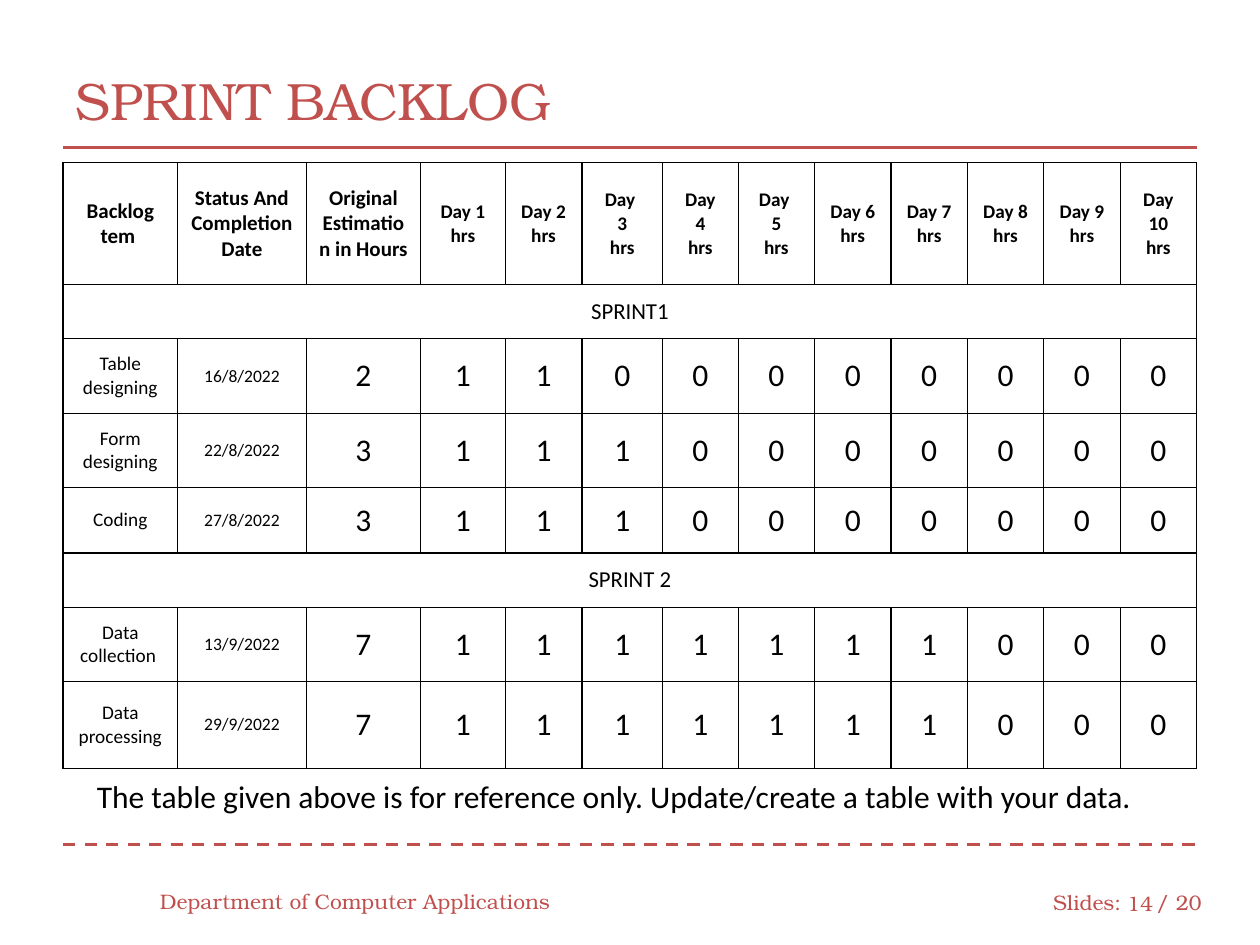
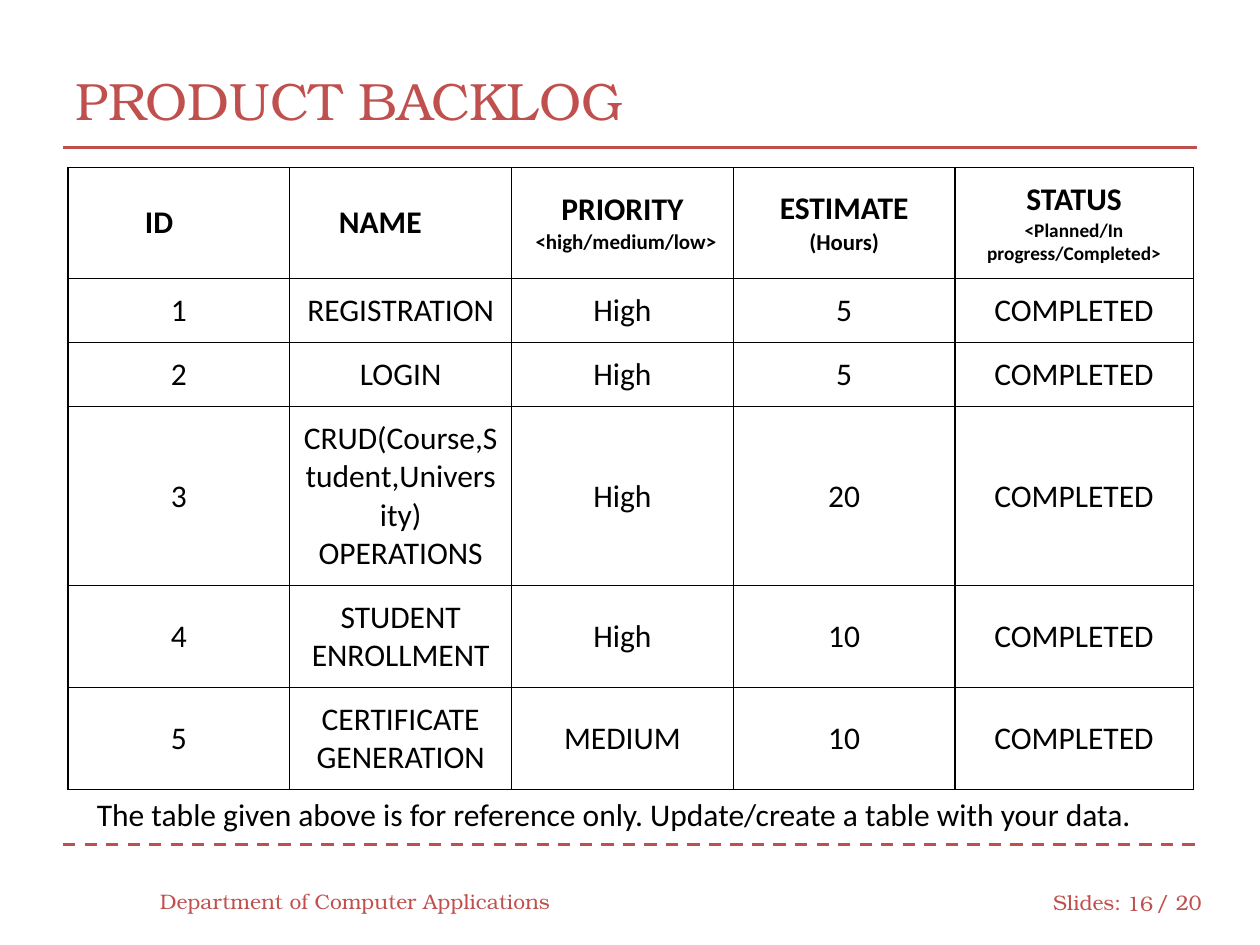
import pptx
import pptx.util
import pptx.dml.color
import pptx.enum.dml
import pptx.enum.shapes
import pptx.enum.text
from dataclasses import dataclass
from lxml import etree

Inches, Pt = pptx.util.Inches, pptx.util.Pt
RGB = pptx.dml.color.RGBColor.from_string
ALIGN = pptx.enum.text.PP_ALIGN
MID = pptx.enum.text.MSO_ANCHOR.MIDDLE
TOP = pptx.enum.text.MSO_ANCHOR.TOP


@dataclass(frozen=True)
class Theme:
    red: str = "C0504D"
    ink: str = "000000"
    paper: str = "FFFFFF"
    serif: str = "TeX Gyre Bonum"
    sans: str = "Calibri"
    title: int = 30
    body: int = 18
    group: int = 13
    head: int = 12
    foot: int = 12
    small: int = 11
    date: int = 10
    rule: float = 1.75
    grid: float = 0.75
    pad: float = 0.1


@dataclass
class Line:
    text: str
    size: int
    bold: bool = False
    indent: float = None  # None means centred


T = Theme()

# Content
DEPT = "Department of Computer Applications"
TOTAL = "/ 20"
NOTE = ("The table given above is for reference only. "
        "Update/create a table with your data.")

FIELDS = ["Backlog tem ", "Status And Completion Date",
          "Original Estimation in Hours "]
DAYS = ["Day 1\nhrs", "Day 2\nhrs", "Day \n3\nhrs", "Day\n4\nhrs",
        "Day \n5\nhrs", "Day 6\nhrs", "Day 7\nhrs", "Day 8\nhrs",
        "Day 9\nhrs", "Day 10\nhrs"]
SPRINTS = [
    ("SPRINT1", [("Table designing", "16/8/2022", 2),
                 ("Form designing", "22/8/2022", 3),
                 ("Coding", "27/8/2022", 3)]),
    ("SPRINT 2", [("Data collection ", "13/9/2022", 7),
                  ("Data processing", "29/9/2022", 7)]),
]

HEADS = [
    [Line("ID", T.body, True, 0.51)],
    [Line("NAME", T.body, True, 0.29)],
    [Line("PRIORITY", T.body, True),
     Line("<high/medium/low>", T.head, True, 0.09)],
    [Line("ESTIMATE", T.body, True), Line("(Hours)", T.group, True)],
    [Line("STATUS", T.body, True),
     Line("<Planned/In progress/Completed>", T.small, True)],
]
ITEMS = [
    ("REGISTRATION", "High", 5),
    ("LOGIN", "High", 5),
    ("CRUD(Course,Student,University)\nOPERATIONS", "High", 20),
    ("STUDENT ENROLLMENT", "High", 10),
    ("CERTIFICATE GENERATION", "MEDIUM", 10),
]
STATE = "COMPLETED"

# Table layout
SPRINT_WIDE = 9
SPRINT_COLS = [0.91, 1.02, 0.91, 0.67, 0.61, 0.64, 0.6]
LAST = len(FIELDS + DAYS) - len(SPRINT_COLS)
SPRINT_COLS += [(SPRINT_WIDE - sum(SPRINT_COLS)) / LAST] * LAST
SPRINT_ROWS = [0.97, 0.43, 0.59, 0.59, 0.52, 0.43, 0.59, 0.69]
ITEM_COLS = [1.76] * 4 + [1.89]
ITEM_ROWS = [0.88, 0.51, 0.51, 1.42, 0.81, 0.81]


# Text helpers
def add_run(para, text, size, face, color, bold=False):
    run = para.add_run()
    run.text = text
    font = run.font
    font.size, font.name, font.bold = Pt(size), face, bold
    font.color.rgb = RGB(color)


def add_text(slide, box, text, size, face, color, align=ALIGN.LEFT, anchor=MID):
    frame = slide.shapes.add_textbox(*map(Inches, box)).text_frame
    frame.word_wrap = True
    frame.vertical_anchor = anchor
    para = frame.paragraphs[0]
    para.alignment = align
    add_run(para, text, size, face, color)


def lines(text, size, bold=False):
    return [Line(part, size, bold) for part in str(text).split("\n")]


# Slide frame: title, rules, footer
def add_rule(slide, y, dash=False):
    rule = slide.shapes.add_connector(
        pptx.enum.shapes.MSO_CONNECTOR.STRAIGHT,
        Inches(0.5), Inches(y), Inches(9.5), Inches(y))
    rule.line.color.rgb = RGB(T.red)
    rule.line.width = Pt(T.rule)
    if dash:
        rule.line.dash_style = pptx.enum.dml.MSO_LINE.DASH
    etree.SubElement(rule._element.spPr, pptx.oxml.ns.qn("a:effectLst"))


def add_slide(deck, title, number):
    slide = deck.slides.add_slide(deck.slide_layouts[5])
    head = slide.shapes.title
    head.left, head.top, head.width, head.height = map(
        Inches, (0.5, 0.33, 9, 0.92))
    frame = head.text_frame
    frame.auto_size = pptx.enum.text.MSO_AUTO_SIZE.NONE
    frame.vertical_anchor = MID
    para = frame.paragraphs[0]
    para.alignment = ALIGN.LEFT
    add_run(para, title, T.title, T.serif, T.red)

    add_rule(slide, 1.17)
    add_rule(slide, 6.7, dash=True)
    for text, box, align in [
        (DEPT, (1.17, 6.95, 3.33, 0.4), ALIGN.LEFT),
        ("Slides:", (8.26, 6.96, 0.75, 0.4), ALIGN.LEFT),
        (str(number), (8.83, 6.97, 0.42, 0.4), ALIGN.RIGHT),
        (TOTAL, (9.08, 6.96, 0.58, 0.4), ALIGN.LEFT),
    ]:
        add_text(slide, box, text, T.foot, T.serif, T.red, align)
    return slide


def add_note(slide, top):
    add_text(slide, (0.67, top, 8.58, 0.4), NOTE, T.body, T.sans, T.ink,
             anchor=TOP)


# Tables
def add_edges(cell):
    props = cell._tc.get_or_add_tcPr()
    for spot, side in enumerate(("lnL", "lnR", "lnT", "lnB")):
        edge = pptx.oxml.parse_xml(
            f'<a:{side} {pptx.oxml.ns.nsdecls("a")} w="{Pt(T.grid)}">'
            f'<a:solidFill><a:srgbClr val="{T.ink}"/></a:solidFill></a:{side}>')
        props.insert(spot, edge)


def fill_cell(cell, content):
    cell.fill.solid()
    cell.fill.fore_color.rgb = RGB(T.paper)
    cell.vertical_anchor = MID
    cell.margin_left = cell.margin_right = Inches(T.pad)
    cell.margin_top = cell.margin_bottom = Inches(T.pad)
    add_edges(cell)
    frame = cell.text_frame
    for i, line in enumerate(content):
        para = frame.add_paragraph() if i else frame.paragraphs[0]
        if line.indent is None:
            para.alignment = ALIGN.CENTER
        else:
            para.alignment = ALIGN.LEFT
            para._p.get_or_add_pPr().set("marL", str(Inches(line.indent)))
        add_run(para, line.text, line.size, T.sans, T.ink, line.bold)


def add_grid(slide, left, top, cols, rows, cells):
    """A row holding a single cell spans the whole table."""
    grid = slide.shapes.add_table(
        len(rows), len(cols), Inches(left), Inches(top),
        Inches(sum(cols)), Inches(sum(rows))).table
    grid.first_row = grid.horz_banding = False
    for col, wide in zip(grid.columns, cols):
        col.width = Inches(wide)
    for r, (high, row) in enumerate(zip(rows, cells)):
        grid.rows[r].height = Inches(high)
        if len(row) == 1:
            grid.cell(r, 0).merge(grid.cell(r, len(cols) - 1))
        for c in range(len(cols)):
            fill_cell(grid.cell(r, c), row[c] if c < len(row) else [])


def sprint_cells():
    cells = [[lines(x, T.head, True) for x in FIELDS]
             + [lines(x, T.small, True) for x in DAYS]]
    for name, tasks in SPRINTS:
        cells.append([lines(name, T.group)])
        for task, date, hours in tasks:
            # One hour a day until the estimate is used up
            spent = [int(day < hours) for day in range(len(DAYS))]
            cells.append([lines(task, T.small), lines(date, T.date)]
                         + [lines(n, T.body) for n in [hours] + spent])
    return cells


def item_cells():
    return [HEADS] + [[lines(x, T.body) for x in (i, *item, STATE)]
                      for i, item in enumerate(ITEMS, 1)]


def main():
    deck = pptx.Presentation()
    deck.slide_width, deck.slide_height = Inches(10), Inches(7.5)

    slide = add_slide(deck, "SPRINT BACKLOG", 14)
    add_grid(slide, 0.5, 1.29, SPRINT_COLS, SPRINT_ROWS, sprint_cells())
    add_note(slide, 6.12)

    slide = add_slide(deck, "PRODUCT BACKLOG", 16)
    add_grid(slide, 0.54, 1.33, ITEM_COLS, ITEM_ROWS, item_cells())
    add_note(slide, 6.26)

    deck.save("out.pptx")


if __name__ == "__main__":
    main()
